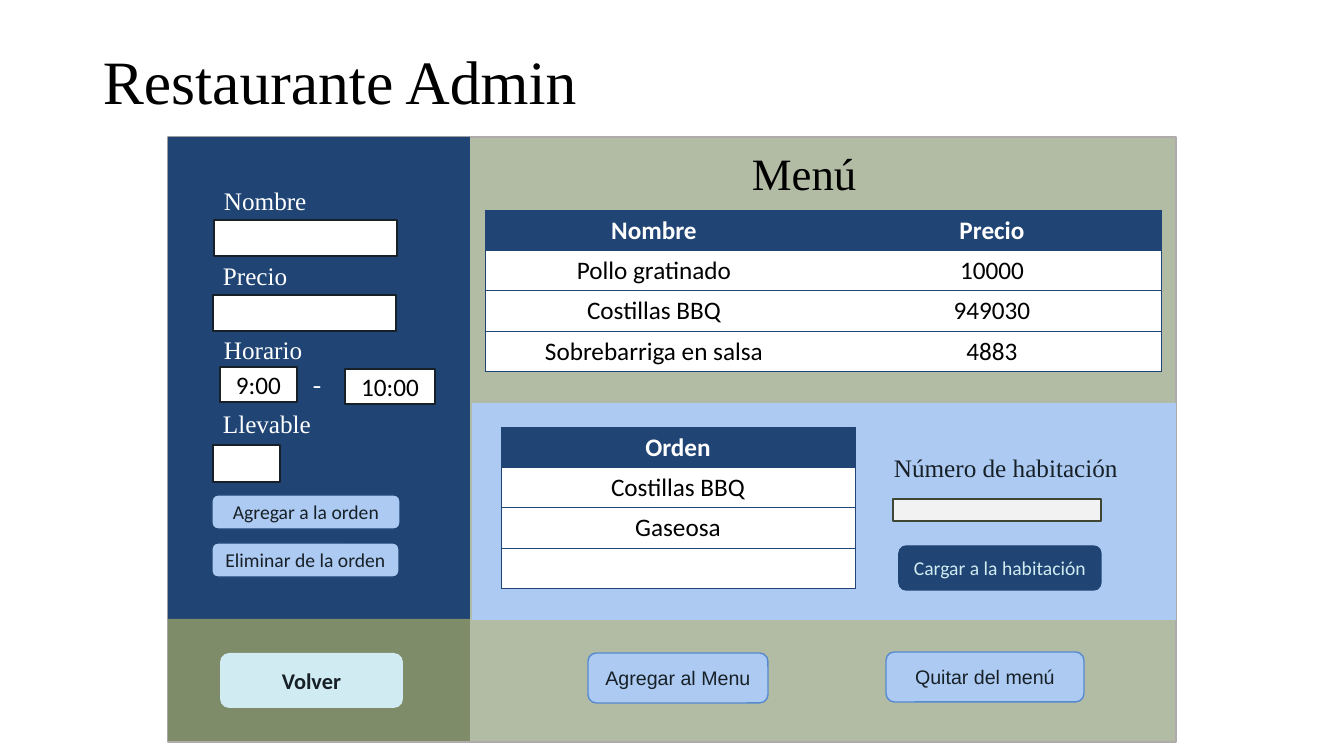
"""Build the restaurant administration screen slide."""
from lxml.etree import SubElement
from pptx import Presentation
from pptx.dml.color import RGBColor
from pptx.enum.shapes import MSO_SHAPE
from pptx.enum.text import MSO_ANCHOR, PP_ALIGN
from pptx.oxml.ns import qn
from pptx.util import Emu, Pt

EMU_PER_PX = 914400 / 100.8
NAVY, SKY, SAGE, OLIVE, ICE = "204473", "ACCAF2", "B2BBA4", "7E8C69", "D0ECF2"
INK, BLACK, WHITE, GREY = "172026", "000000", "FFFFFF", "F2F2F2"
SERIF, SANS, BUTTON = "Times New Roman", "Calibri", "Arial"
color = RGBColor.from_string


def px(*lengths):
    return [Emu(round(length * EMU_PER_PX)) for length in lengths]


def write(frame, text, size, font, ink, bold=False, align=PP_ALIGN.CENTER):
    frame.word_wrap = True
    paragraph = frame.paragraphs[0]
    paragraph.alignment = align
    paragraph.font.size = Pt(size)
    if text:
        run = paragraph.add_run()
        run.text = text
        run.font.size = Pt(size)
        run.font.name = font
        run.font.bold = bold
        run.font.color.rgb = color(ink)
    return paragraph


presentation = Presentation()
presentation.slide_width, presentation.slide_height = px(1344, 756)
slide = presentation.slides.add_slide(presentation.slide_layouts[6])

rectangles = [
    (168, 137, 1008, 605, SAGE, "AFABAB"),
    (168, 137, 302, 483, NAVY, None),
    (472, 403, 704, 217, SKY, None),
    (168, 619, 302, 122, OLIVE, None),
    (214, 220, 183, 36, WHITE, INK),
    (213, 295, 183, 36, WHITE, INK),
    (213, 445, 67, 37, WHITE, INK),
    (893, 499, 208, 22, GREY, "3F4634"),
]
for left, top, width, height, fill, line in rectangles:
    shape = slide.shapes.add_shape(MSO_SHAPE.RECTANGLE, *px(left, top, width, height))
    shape.shadow.inherit = False
    shape.fill.solid()
    shape.fill.fore_color.rgb = color(fill)
    if line:
        shape.line.color.rgb = color(line)
        shape.line.width = Pt(1)
    else:
        shape.line.fill.background()

headings = [
    ("Restaurante Admin", 93, 40, 1159, 89, 44),
    ("Menú", 742, 131, 166, 89, 32),
]
for text, left, top, width, height, size in headings:
    box = slide.shapes.add_textbox(*px(left, top, width, height))
    box.text_frame.vertical_anchor = MSO_ANCHOR.MIDDLE
    paragraph = write(box.text_frame, text, size, SERIF, BLACK, align=PP_ALIGN.LEFT)
    paragraph.line_spacing = 0.9

labels = [
    ("Nombre", 214, 180, 118, WHITE),
    ("Precio", 213, 255, 164, WHITE),
    ("Horario", 214, 329, 118, WHITE),
    ("Llevable", 213, 403, 164, WHITE),
    ("-", 303, 363, 27, WHITE),
    ("Número de habitación", 884, 447, 252, INK),
]
for text, left, top, width, ink in labels:
    box = slide.shapes.add_textbox(*px(left, top, width, 40))
    paragraph = write(box.text_frame, text, 18, SERIF, ink, align=PP_ALIGN.LEFT)
    paragraph.space_after = Pt(6)

ROUNDED, SQUARE = MSO_SHAPE.ROUNDED_RECTANGLE, MSO_SHAPE.RECTANGLE
BLUE = "558AD0"
controls = [
    (ROUNDED, "Volver", 220, 653, 183, 55, ICE, None, 16, SANS, INK),
    (ROUNDED, "Cargar a la habitación", 899, 546, 202, 44, NAVY, NAVY, 14, SANS, ICE),
    (ROUNDED, "Agregar a la orden", 212, 495, 188, 34, SKY, NAVY, 14, SANS, INK),
    (ROUNDED, "Eliminar de la orden", 212, 543, 187, 34, SKY, NAVY, 14, SANS, INK),
    (ROUNDED, "Agregar al Menu", 588, 653, 180, 50, SKY, BLUE, 14, BUTTON, INK),
    (ROUNDED, "Quitar del menú", 886, 652, 198, 50, SKY, BLUE, 14, BUTTON, INK),
    (SQUARE, "9:00", 220, 367, 77, 35, WHITE, INK, 18, SANS, BLACK),
    (SQUARE, "10:00", 345, 369, 90, 35, WHITE, INK, 18, SANS, BLACK),
]
for kind, text, left, top, width, height, fill, line, size, font, ink in controls:
    shape = slide.shapes.add_shape(kind, *px(left, top, width, height))
    shape.shadow.inherit = False
    shape.fill.solid()
    shape.fill.fore_color.rgb = color(fill)
    if line:
        shape.line.color.rgb = color(line)
        shape.line.width = Pt(1)
    else:
        shape.line.fill.background()
    shape.text_frame.vertical_anchor = MSO_ANCHOR.MIDDLE
    write(shape.text_frame, text, size, font, ink, bold=text == "Volver")

ROW_HEIGHT = 40
order_rows = [["Orden"], ["Costillas BBQ"], ["Gaseosa"], [""]]
menu_rows = [
    ["Nombre", "Precio"],
    ["Pollo gratinado", "10000"],
    ["Costillas BBQ", "949030"],
    ["Sobrebarriga en salsa", "4883"],
]
for rows, left, top, width in [(order_rows, 501, 427, 354), (menu_rows, 485, 210, 676)]:
    columns = len(rows[0])
    bounds = px(left, top, width, ROW_HEIGHT * len(rows))
    table = slide.shapes.add_table(len(rows), columns, *bounds).table
    for row_index, values in enumerate(rows):
        header = row_index == 0
        for column_index, value in enumerate(values):
            cell = table.cell(row_index, column_index)
            cell.vertical_anchor = MSO_ANCHOR.MIDDLE
            write(cell.text_frame, value, 18, SANS, WHITE if header else BLACK, header)
            properties = cell._tc.get_or_add_tcPr()
            inner_sides = {"L": column_index > 0, "R": column_index < columns - 1}
            for side in "LRTB":
                border = SubElement(properties, qn(f"a:ln{side}"), w=str(Pt(0.5)))
                if inner_sides.get(side):
                    SubElement(border, qn("a:noFill"))
                else:
                    paint = SubElement(border, qn("a:solidFill"))
                    SubElement(paint, qn("a:srgbClr"), val=NAVY)
            cell.fill.solid()
            cell.fill.fore_color.rgb = color(NAVY if header else WHITE)

presentation.save("out.pptx")
